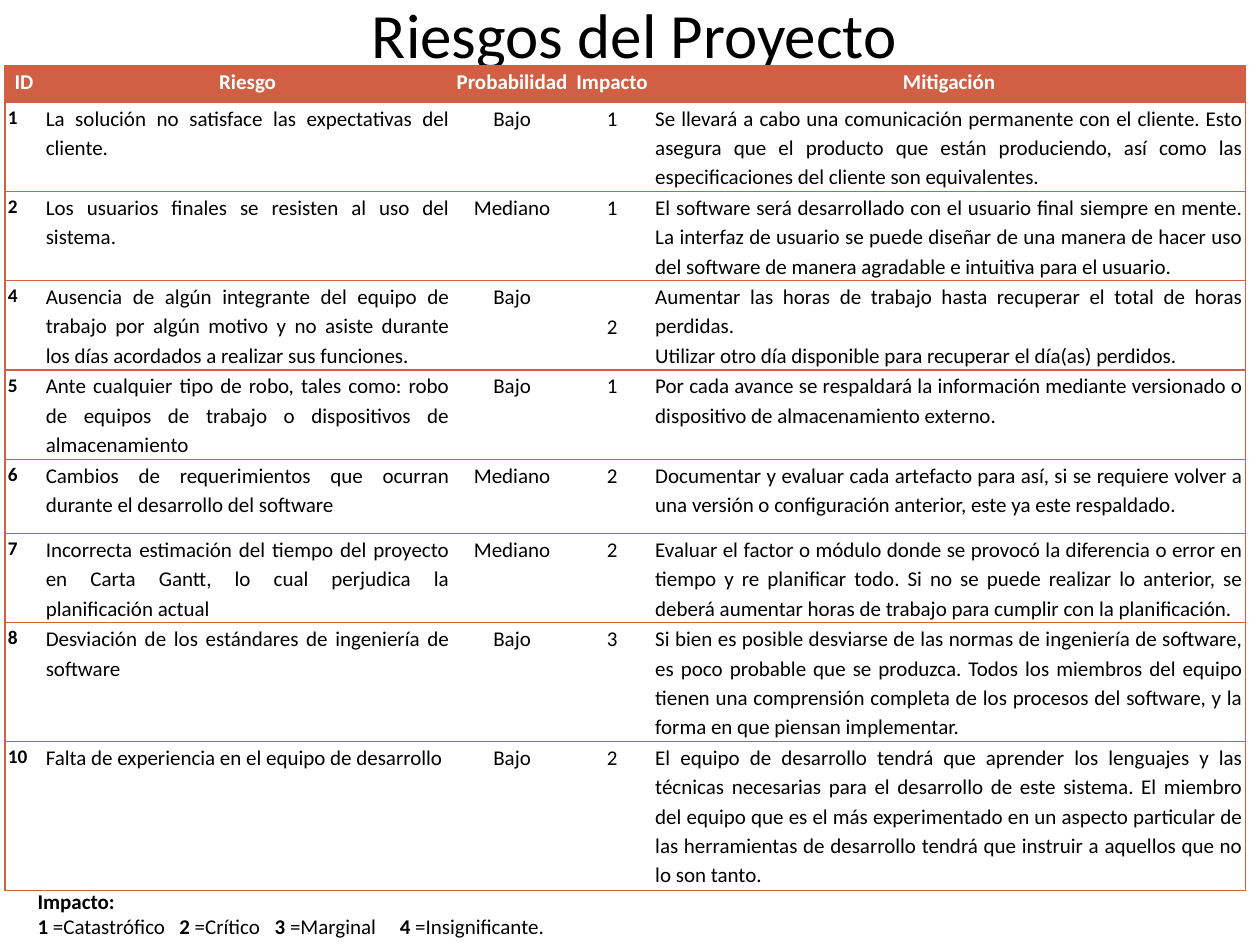
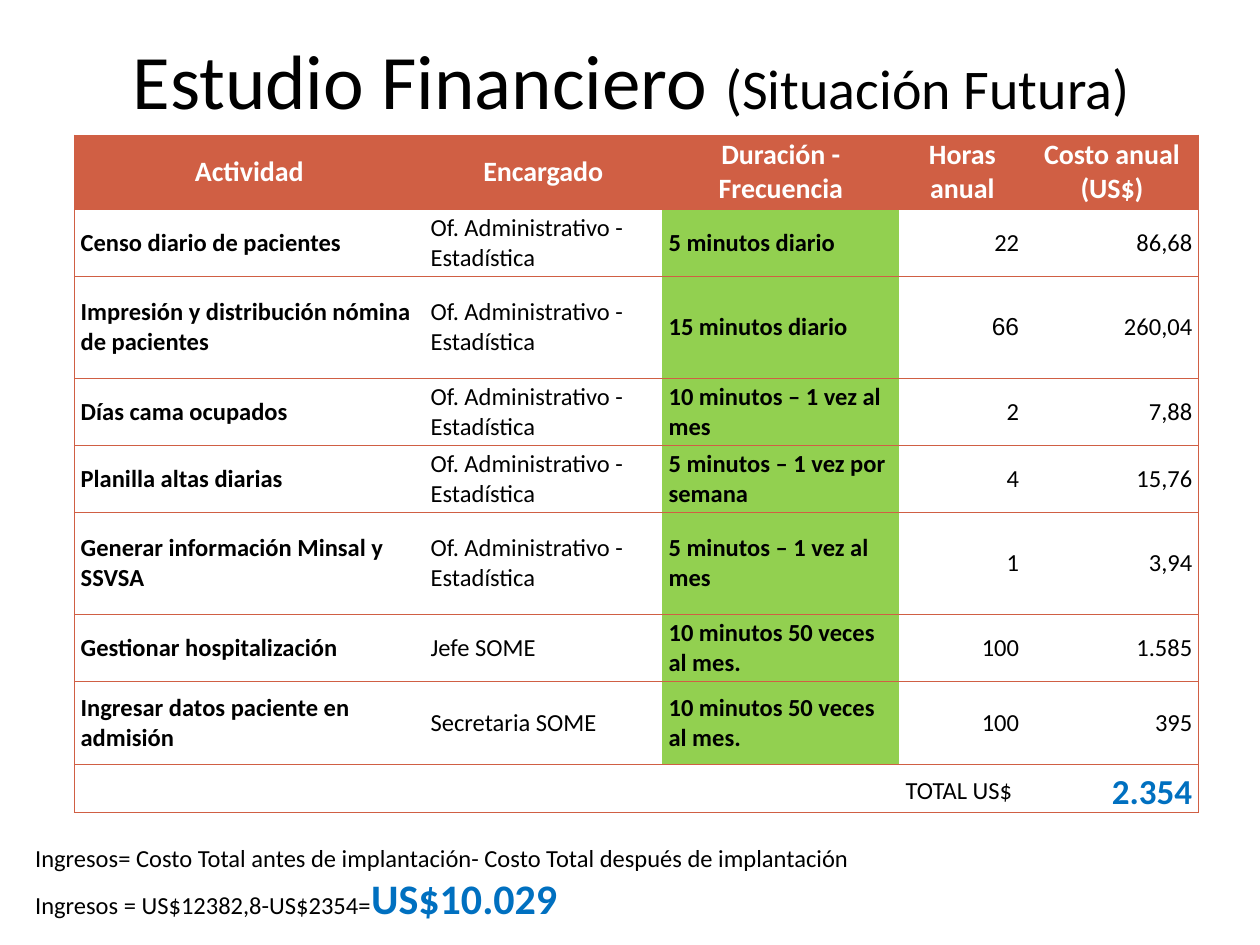
"""Build two project slides: the risk table and the financial study."""
from lxml import etree
from pptx import Presentation
from pptx.dml.color import RGBColor
from pptx.enum.text import MSO_ANCHOR, PP_ALIGN
from pptx.oxml.ns import qn
from pptx.util import Pt

LEFT, CENTER, RIGHT, JUSTIFY = PP_ALIGN.LEFT, PP_ALIGN.CENTER, PP_ALIGN.RIGHT, PP_ALIGN.JUSTIFY
TOP, MIDDLE = MSO_ANCHOR.TOP, MSO_ANCHOR.MIDDLE

COLORS = {"text": "000000", "header": "FFFFFF", "brand": "D05F44",
          "green": "92D050", "total": "0070C0"}
FONT = "Calibri"
NUMBER_FONT = "Arial"
GREEN_OPACITY = 44
BORDER_WIDTH = 0.75

RISK_HEADERS = ["ID", "Riesgo", "Probabilidad", "Impacto", "Mitigación"]
RISKS = [
    ("1", "La solución no satisface las expectativas del cliente.", "Bajo", "1",
     "Se llevará a cabo una comunicación permanente con el cliente. Esto asegura que el producto "
     "que están produciendo, así como las especificaciones del cliente son equivalentes."),
    ("2", "Los usuarios finales se resisten al uso del sistema.", "Mediano", "1",
     "El software será desarrollado con el usuario final siempre en mente. La interfaz de usuario "
     "se puede diseñar de una manera de hacer uso del software de manera agradable e intuitiva "
     "para el usuario."),
    ("4", "Ausencia de algún integrante del equipo de trabajo por algún motivo y no asiste durante "
     "los días acordados a realizar sus funciones.", "Bajo", "2",
     "Aumentar las horas de trabajo hasta recuperar el total de horas perdidas.\n"
     "Utilizar otro día disponible para recuperar el día(as) perdidos."),
    ("5", "Ante cualquier tipo de robo, tales como: robo de equipos de trabajo o dispositivos "
     "de almacenamiento", "Bajo", "1",
     "Por cada avance se respaldará la información mediante versionado o dispositivo de "
     "almacenamiento externo."),
    ("6", "Cambios de requerimientos que ocurran durante el desarrollo del software", "Mediano", "2",
     "Documentar y evaluar cada artefacto para así, si se requiere volver a una versión o "
     "configuración anterior, este ya este respaldado."),
    ("7", "Incorrecta estimación del tiempo del proyecto en Carta Gantt, lo cual perjudica la "
     "planificación actual", "Mediano", "2",
     "Evaluar el factor o módulo donde se provocó la diferencia o error en tiempo y re planificar "
     "todo. Si no se puede realizar lo anterior, se deberá aumentar horas de trabajo para cumplir "
     "con la planificación."),
    ("8", "Desviación de los estándares de ingeniería de software", "Bajo", "3",
     "Si bien es posible desviarse de las normas de ingeniería de software, es poco probable que "
     "se produzca. Todos los miembros del equipo tienen una comprensión completa de los procesos "
     "del software, y la forma en que piensan implementar."),
    ("10", "Falta de experiencia en el equipo de desarrollo", "Bajo", "2",
     "El equipo de desarrollo tendrá que aprender los lenguajes y las técnicas necesarias para el "
     "desarrollo de este sistema. El miembro del equipo que es el más experimentado en un aspecto "
     "particular de las herramientas de desarrollo tendrá que instruir a aquellos que no lo son "
     "tanto."),
]
IMPACT_LEVELS = [("1", " =Catastrófico"), ("2", " =Crítico"),
                 ("3", " =Marginal"), ("4", " =Insignificante.")]
IMPACT_TABS = [81, 135.5, 207]

OFFICER = "Of. Administrativo - Estadística"
COST_HEADERS = ["Actividad", "Encargado", "Duración - Frecuencia", "Horas anual",
                "Costo anual (US$)"]
COSTS = [
    ("Censo diario de pacientes", OFFICER, "5 minutos diario", "22", "86,68"),
    ("Impresión y distribución nómina de pacientes", OFFICER, "15 minutos diario", "66", "260,04"),
    ("Días cama ocupados", OFFICER, "10 minutos – 1 vez al mes", "2", "7,88"),
    ("Planilla altas diarias", OFFICER, "5 minutos – 1 vez por semana", "4", "15,76"),
    ("Generar información Minsal y SSVSA", OFFICER, "5 minutos – 1 vez al mes", "1", "3,94"),
    ("Gestionar hospitalización", "Jefe SOME", "10 minutos 50 veces al mes.", "100", "1.585"),
    ("Ingresar datos paciente en admisión", "Secretaria SOME", "10 minutos 50 veces al mes.",
     "100", "395"),
]
COST_TOTAL = ("", "", "", "TOTAL US$", "2.354")

RISK_TABLE = {
    "left": 2.9, "top": 37.5, "inset": 1.7, "anchor": TOP, "spacing": 1.15, "header_size": 12,
    "widths": [21.6, 234, 68.3, 46, 339.2],
    "heights": [21, 51, 51, 51, 51, 42.5, 51, 67.8, 85],
    "columns": [(LEFT, 11, True), (JUSTIFY, 12, False), (CENTER, 12, False),
                (CENTER, 12, False), (JUSTIFY, 12, False)],
}
COST_TABLE = {
    "left": 42.5, "top": 77.3, "inset": 3.6, "anchor": MIDDLE, "spacing": 1, "header_size": 16,
    "widths": [200, 136, 135.5, 72, 99],
    "heights": [42.3, 38.3, 58.3, 38.3, 38.3, 58.3, 38.3, 47.5, 27],
    "columns": [(LEFT, 14, True), (LEFT, 14, False), (LEFT, 14, True),
                (RIGHT, 14, False), (RIGHT, 14, False)],
}


def set_font(font, size, color="text", bold=False, name=FONT):
    font.name, font.size, font.bold = name, Pt(size), bold
    font.color.rgb = RGBColor.from_string(COLORS[color])


def add_span(para, text, size=None, color="text", bold=False):
    span = para.add_run()
    span.text = text
    if size:
        set_font(span.font, size, color, bold)


def add_box(page, left, top, width, height, anchor=TOP):
    box = page.shapes.add_textbox(Pt(left), Pt(top), Pt(width), Pt(height))
    box.text_frame.word_wrap = True
    box.text_frame.vertical_anchor = anchor
    return box.text_frame


def add_title(page, frame, spans):
    para = add_box(page, *frame, anchor=MIDDLE).paragraphs[0]
    para.alignment = CENTER
    for text, size in spans:
        add_span(para, text, size)


def style_cell(cell, text, align, size, spacing, color="text", bold=False, name=FONT):
    cell.text = text
    for para in cell.text_frame.paragraphs:
        para.alignment, para.line_spacing = align, spacing
        set_font(para.font, size, color, bold, name)


def set_borders(cell, sides):
    properties = cell._tc.get_or_add_tcPr()
    for index, side in enumerate("LRTB"):
        line = etree.Element(qn(f"a:ln{side}"), w=str(Pt(BORDER_WIDTH)))
        if side in sides:
            fill = etree.SubElement(line, qn("a:solidFill"))
            etree.SubElement(fill, qn("a:srgbClr"), val=COLORS["brand"])
        else:
            etree.SubElement(line, qn("a:noFill"))
        properties.insert(index, line)


def fill_cell(cell, color, opacity=100):
    cell.fill.solid()
    cell.fill.fore_color.rgb = RGBColor.from_string(COLORS[color])
    if opacity < 100:
        tint = cell._tc.tcPr.find(".//" + qn("a:srgbClr"))
        etree.SubElement(tint, qn("a:alpha"), val=str(opacity * 1000))


def add_grid(page, layout, headers, body):
    widths, heights = layout["widths"], layout["heights"]
    table = page.shapes.add_table(len(heights), len(widths), Pt(layout["left"]), Pt(layout["top"]),
                                  Pt(sum(widths)), Pt(sum(heights))).table
    table.first_row = table.horz_banding = False
    for column, width in zip(table.columns, widths):
        column.width = Pt(width)
    for row, height in zip(table.rows, heights):
        row.height = Pt(height)
    last = len(widths) - 1
    for row, texts in enumerate([headers, *body]):
        for column, text in enumerate(texts):
            cell = table.cell(row, column)
            cell.margin_left = cell.margin_right = Pt(layout["inset"])
            cell.margin_top = cell.margin_bottom = 0
            cell.vertical_anchor = layout["anchor"]
            if row == 0:
                style_cell(cell, text, CENTER, layout["header_size"], layout["spacing"],
                           "header", True)
                fill_cell(cell, "brand")
            else:
                align, size, bold = layout["columns"][column]
                style_cell(cell, text, align, size, layout["spacing"], bold=bold)
                cell.fill.background()
            set_borders(cell, "TB" + "L" * (column == 0) + "R" * (column == last))
    return table


def add_risk_slide(page):
    add_title(page, (181.5, 3, 362, 32.5), [("Riesgos del Proyecto", 36)])
    table = add_grid(page, RISK_TABLE, RISK_HEADERS, RISKS)
    table.cell(3, 3).vertical_anchor = MIDDLE

    legend = add_box(page, 14.4, 504, 335, 36)
    heading, levels = legend.paragraphs[0], legend.add_paragraph()
    add_span(heading, "Impacto:", 12, bold=True)
    stops = etree.SubElement(levels._p.get_or_add_pPr(), qn("a:tabLst"))
    for position in IMPACT_TABS:
        etree.SubElement(stops, qn("a:tab"), pos=str(Pt(position)), algn="l")
    for index, (number, meaning) in enumerate(IMPACT_LEVELS):
        add_span(levels, "\t" * (index > 0) + number, 12, bold=True)
        add_span(levels, meaning, 12)


def add_cost_slide(page):
    table = add_grid(page, COST_TABLE, COST_HEADERS, [*COSTS, COST_TOTAL])
    for row in range(1, len(COSTS) + 1):
        fill_cell(table.cell(row, 2), "green", GREEN_OPACITY)
    style_cell(table.cell(2, 3), COSTS[1][3], RIGHT, 14, 1, name=NUMBER_FONT)
    total_row = len(COSTS) + 1
    style_cell(table.cell(total_row, 3), COST_TOTAL[3], LEFT, 14, 1.15)
    style_cell(table.cell(total_row, 4), COST_TOTAL[4], RIGHT, 20, 1.15, "total", True)

    income = add_box(page, 13, 478, 507, 53.5)
    formula, result = income.paragraphs[0], income.add_paragraph()
    formula.alignment = result.alignment = JUSTIFY
    add_span(formula, "Ingresos= Costo Total antes de implantación- "
                      "Costo Total después de implantación", 14)
    add_span(result, "Ingresos = US$12382,8-US$2354=", 14)
    add_span(result, "US$10.029", 24, "total", True)
    add_title(page, (36.7, 0, 648, 90),
              [("Estudio Financiero ", 44), ("(Situación Futura)", 32)])


def main():
    deck = Presentation()
    deck.slide_width, deck.slide_height = Pt(720), Pt(540)
    for build in (add_risk_slide, add_cost_slide):
        build(deck.slides.add_slide(deck.slide_layouts[6]))
    deck.save("out.pptx")


if __name__ == "__main__":
    main()
